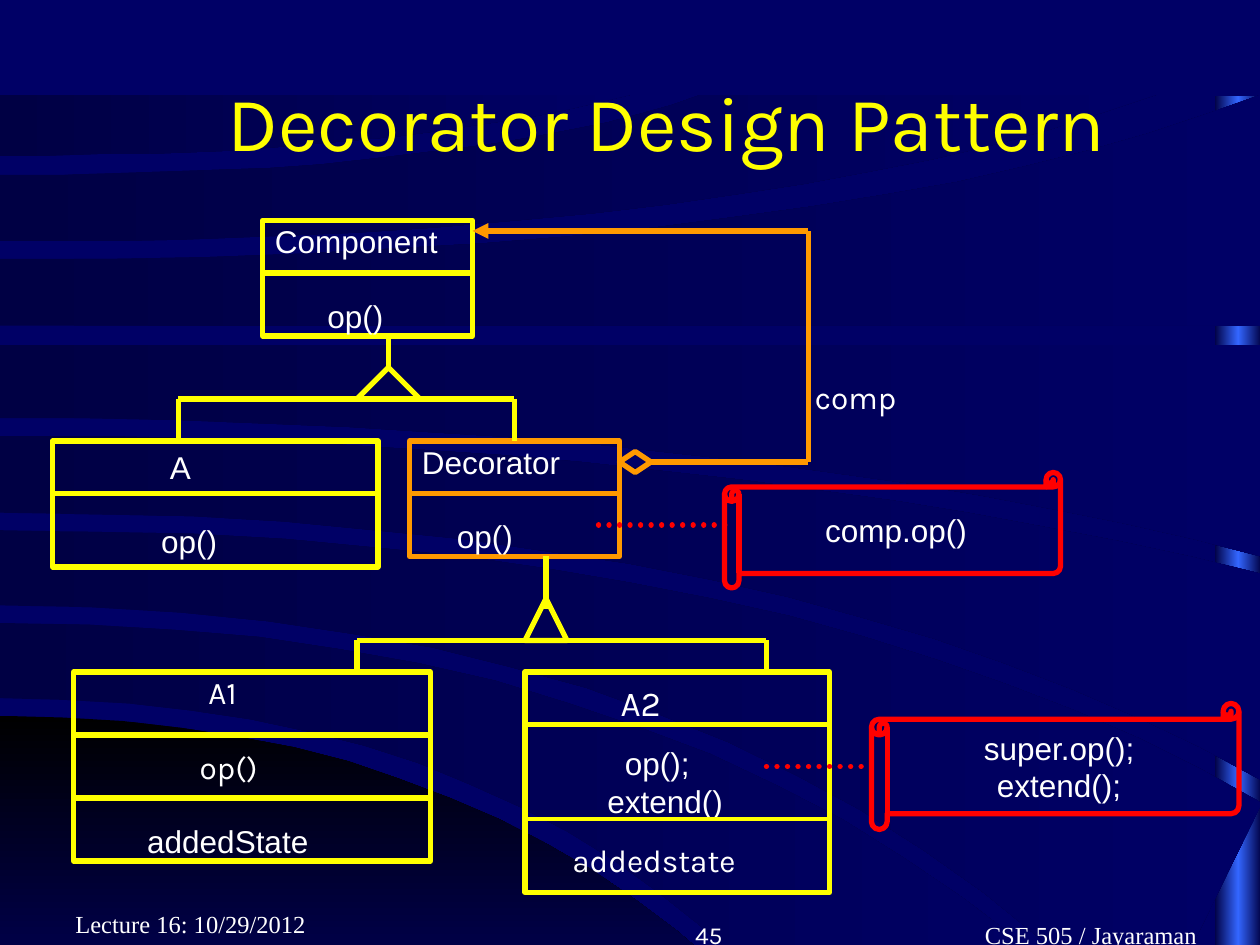
from copy import deepcopy

from lxml import etree
from pptx import Presentation
from pptx.dml.color import RGBColor
from pptx.enum.dml import MSO_LINE
from pptx.enum.shapes import MSO_CONNECTOR, MSO_SHAPE
from pptx.enum.text import MSO_ANCHOR, PP_ALIGN
from pptx.oxml.ns import qn
from pptx.util import Pt

STRAIGHT = MSO_CONNECTOR.STRAIGHT
RECT = MSO_SHAPE.RECTANGLE
TRIANGLE = MSO_SHAPE.FLOWCHART_EXTRACT
DIAMOND = MSO_SHAPE.FLOWCHART_DECISION
SCROLL = MSO_SHAPE.HORIZONTAL_SCROLL
ROUND_DOT = MSO_LINE.ROUND_DOT
TOP, MIDDLE, BOTTOM = MSO_ANCHOR.TOP, MSO_ANCHOR.MIDDLE, MSO_ANCHOR.BOTTOM
LEFT, CENTER, RIGHT = PP_ALIGN.LEFT, PP_ALIGN.CENTER, PP_ALIGN.RIGHT

NAVY = RGBColor(0x00, 0x00, 0x66)
DARK_NAVY = RGBColor(0x00, 0x00, 0x44)
BLUE = RGBColor(0x33, 0x66, 0xFF)
BLACK = RGBColor(0x00, 0x00, 0x00)
WHITE = RGBColor(0xFF, 0xFF, 0xFF)
YELLOW = RGBColor(0xFF, 0xFF, 0x00)
ORANGE = RGBColor(0xFF, 0x99, 0x00)
RED = RGBColor(0xFF, 0x00, 0x00)

ARIAL, KARLA, TIMES = "Arial", "Karla", "Times New Roman"

# Backdrop curves: left height, bend x, end x, end y
CORNER = (409, 288, 453, 596)
BANDS = [  # upper and lower edge
    ((356, 410, 644, 594), (399, 305, 463, 594)),
    ((303, 452, 721, 459), (346, 425, 655, 594)),
    ((249, 394, 721, 328), (293, 450, 721, 446)),
    ((197, 360, 721, 197), (239, 412, 721, 318)),
    ((148, 480, 721, 54), (186, 360, 721, 186)),
    ((100, 270, 401, 54), (138, 430, 661, 54)),
    ((54, 180, 361, 54), (89, 230, 361, 54)),
]


def curve(y, bend_x, end_x, end_y, steps=16):
    """Points of a quadratic curve that leaves the left edge level."""
    ts = [i / steps for i in range(steps + 1)]
    return [(2 * t * (1 - t) * bend_x + t * t * end_x, y + t * t * (end_y - y))
            for t in ts]


def fill_gradient(sp, colors, angle=0):
    """Fill a shape with evenly spaced gradient colours and no outline."""
    sp.shadow.inherit = False
    sp.line.fill.background()
    sp.fill.gradient()
    sp.fill.gradient_angle = angle
    stops = sp.fill._fill._gradFill.find(qn("a:gsLst"))
    while len(stops) < len(colors):
        stops.append(deepcopy(stops[-1]))
    for i, (stop, color) in enumerate(zip(sp.fill.gradient_stops, colors)):
        stop.color.rgb = color
        stop.position = i / (len(colors) - 1)


def add_band(group, points, colors, angle=0):
    builder = group.shapes.build_freeform(*points[0], scale=Pt(1))
    builder.add_line_segments(points[1:], close=True)
    fill_gradient(builder.convert_to_shape(), colors, angle)


def add_backdrop(s):
    """Draw the curved bands behind everything else."""
    group = s.shapes.add_group_shape()
    stripe = group.shapes.add_shape(RECT, Pt(694), Pt(55), Pt(27), Pt(540))
    fill_gradient(stripe, [DARK_NAVY, BLUE, DARK_NAVY])
    add_band(group, curve(*CORNER) + [(0, CORNER[-1])], [BLACK, NAVY], 270)
    for upper, lower in BANDS:
        add_band(group, curve(*upper) + curve(*lower)[::-1], [DARK_NAVY, NAVY])
    s.shapes._spTree.insert(2, group._element)


def write(sp, lines, size=18, align=LEFT, anchor=MIDDLE, gap=0):
    """Write (text, font, indent) lines, with a gap between them."""
    tf = sp.text_frame
    tf.word_wrap = True
    tf.vertical_anchor = anchor
    tf.margin_left = tf.margin_right = Pt(7.2)
    tf.margin_top = tf.margin_bottom = Pt(0 if anchor == MIDDLE else 3.6)
    for i, (text, font, indent) in enumerate(lines):
        p = tf.add_paragraph() if i else tf.paragraphs[0]
        p.text = text
        p.alignment = align
        if indent:
            p._p.get_or_add_pPr().set("marL", str(Pt(indent)))
        if i and gap:
            p.space_before = Pt(gap)
        p.font.name, p.font.size = font, Pt(size)
        p.font.color.rgb = WHITE


def add_outline(s, kind, x, y, w, h, color=YELLOW):
    sp = s.shapes.add_shape(kind, Pt(x), Pt(y), Pt(w), Pt(h))
    sp.shadow.inherit = False
    sp.fill.background()
    sp.line.color.rgb, sp.line.width = color, Pt(3)
    return sp


def add_line(s, x1, y1, x2, y2, color=YELLOW, width=3, start=None, end=None,
             dotted=False, arrow=False):
    """Draw a straight line; start and end are (shape, site) joins."""
    line = s.shapes.add_connector(STRAIGHT, Pt(x1), Pt(y1), Pt(x2), Pt(y2))
    line.line.color.rgb, line.line.width = color, Pt(width)
    if dotted:
        line.line.dash_style = ROUND_DOT
        line.line._ln.set("cap", "rnd")
    if arrow:
        etree.SubElement(line.line._ln, qn("a:tailEnd"), type="triangle")
    etree.SubElement(line._element.spPr, qn("a:effectLst"))
    if start:
        line.begin_connect(*start)
    if end:
        line.end_connect(*end)


def add_class(s, x, y, w, h, dividers, lines, color=YELLOW, gap=21):
    """Draw a class box; dividers are (y, line width)."""
    box = add_outline(s, RECT, x, y, w, h, color)
    write(box, lines, gap=gap)
    for row, width in dividers:
        add_line(s, x, row, x + w, row, color, width)
    return box


def add_label(s, x, y, w, h, text, font, size=18, align=LEFT, anchor=TOP):
    box = s.shapes.add_textbox(Pt(x), Pt(y), Pt(w), Pt(h))
    write(box, [(text, font, 0)], size, align, anchor)
    return box


def add_title(s, text):
    title = s.shapes.title
    title.left, title.top, title.width, title.height = Pt(57), Pt(24), Pt(648), Pt(90)
    title.text_frame.text = text
    title.text_frame.vertical_anchor = MIDDLE
    p = title.text_frame.paragraphs[0]
    p.alignment = CENTER
    p.font.name, p.font.size = KARLA, Pt(44)
    p.font.color.rgb = YELLOW


def main():
    prs = Presentation()
    prs.slide_width, prs.slide_height = Pt(720), Pt(540)
    s = prs.slides.add_slide(prs.slide_layouts[5])
    s.background.fill.solid()
    s.background.fill.fore_color.rgb = NAVY
    add_backdrop(s)
    add_title(s, "Decorator Design Pattern")

    # Class boxes
    add_class(s, 150, 126, 120, 66, [(156, 3)],
              [("Component", ARIAL, 0), ("op()", ARIAL, 30)])
    decorator = add_class(s, 234, 252, 120, 66, [(282, 3)],
                          [("Decorator", ARIAL, 0), ("op()", ARIAL, 20)], ORANGE)
    add_class(s, 30, 252, 186, 72, [(282, 3)], [("A", ARIAL, 60), ("op()", ARIAL, 55)])
    add_class(s, 42, 384, 204, 108, [(420, 3), (456, 3)],
              [("A1", KARLA, 70), ("op()", KARLA, 65), ("addedState", ARIAL, 35)])
    add_class(s, 300, 384, 174, 126, [(414, 3), (468, 2.25)],
              [("op();", ARIAL, 50), ("extend()", ARIAL, 40)], gap=0)
    add_label(s, 347.5, 386, 60, 32, "A2", KARLA, 20)
    add_label(s, 320, 477, 120, 29, "addedstate", KARLA)

    # Inheritance from Component
    triangle = add_outline(s, TRIANGLE, 204, 210, 36, 18)
    add_line(s, 222, 210, 222, 192, start=(triangle, 0))
    add_line(s, 102, 228, 294, 228)
    add_line(s, 102, 228, 102, 252)
    add_line(s, 294, 228, 294, 252, end=(decorator, 0))

    # Inheritance from Decorator
    add_outline(s, TRIANGLE, 300, 342, 24, 24)
    add_line(s, 312, 348, 312, 318)
    add_line(s, 204, 366, 438, 366)
    for x in (204, 438):
        add_line(s, x, 366, x, 384)

    # Aggregation of the component
    diamond = add_outline(s, DIAMOND, 354, 258, 18, 12, ORANGE)
    add_line(s, 372, 264, 462, 264, ORANGE, start=(diamond, 3))
    add_line(s, 462, 264, 462, 132, ORANGE)
    add_line(s, 462, 132, 270, 132, ORANGE, arrow=True)
    add_label(s, 458.6, 212.4, 62, 29, "comp", KARLA)

    # Code notes
    add_line(s, 342, 300, 420, 300, RED, dotted=True)
    note = add_outline(s, SCROLL, 414, 270, 192, 66, RED)
    write(note, [("comp.op()", ARIAL, 0)], align=CENTER)
    note = add_outline(s, SCROLL, 498, 402, 210, 72, RED)
    write(note, [("super.op();", ARIAL, 0), ("extend();", ARIAL, 0)], align=CENTER)
    add_line(s, 438, 438, 498, 438, RED, end=(note, 1), dotted=True)

    # Footer
    add_label(s, 36, 504, 150, 36, "Lecture 16: 10/29/2012", TIMES, 14, LEFT, BOTTOM)
    add_label(s, 270, 510, 150, 36, "45", KARLA, 14, RIGHT, BOTTOM)
    course = add_label(s, 474, 510, 228, 36, "CSE 505 / Jayaraman", TIMES, 14, RIGHT, BOTTOM)
    course.text_frame.margin_right = Pt(18)

    prs.save("out.pptx")


if __name__ == "__main__":
    main()
